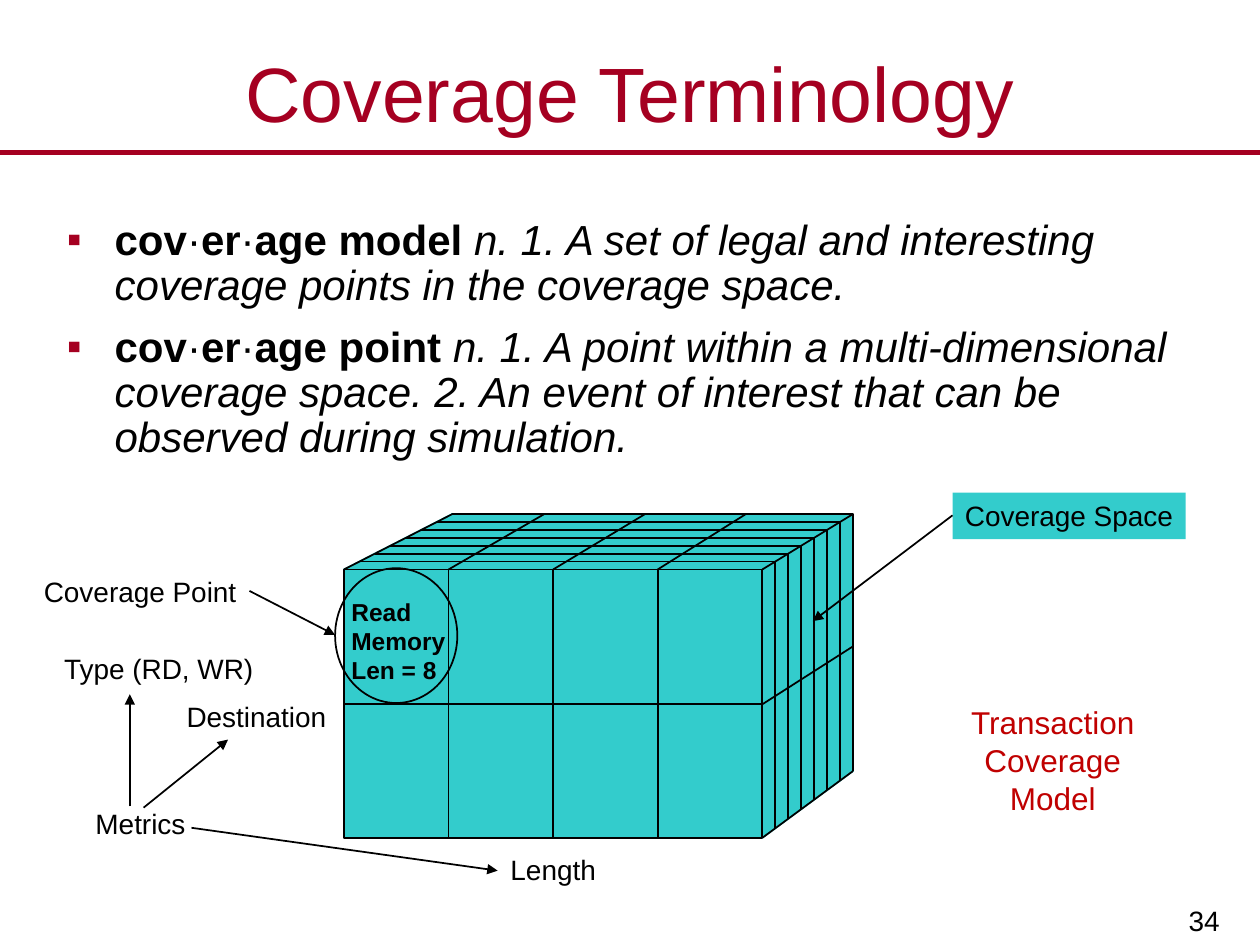
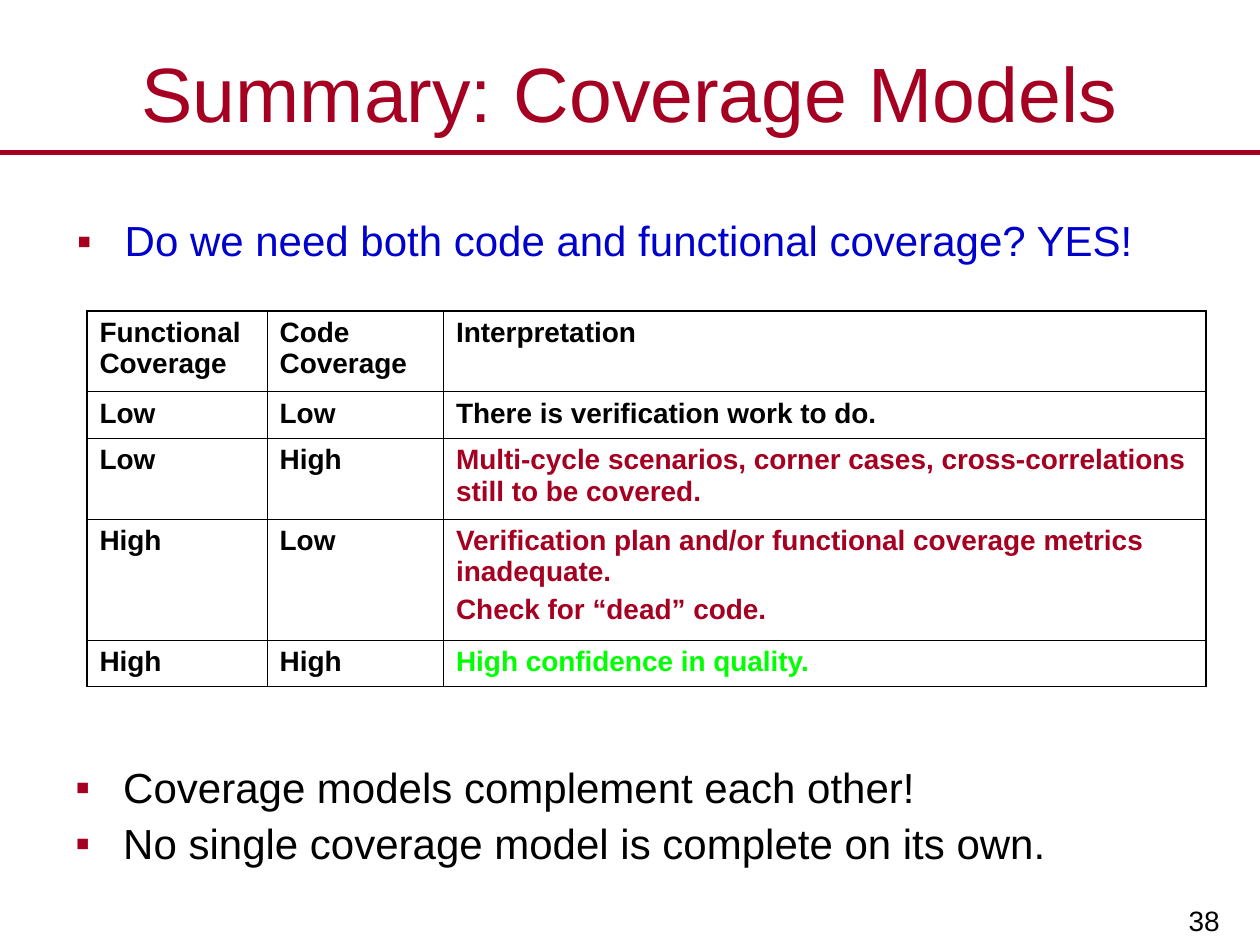
from lxml import etree
from pptx import Presentation
from pptx.dml.color import RGBColor
from pptx.enum.shapes import MSO_CONNECTOR, MSO_SHAPE
from pptx.enum.text import MSO_ANCHOR, MSO_AUTO_SIZE, PP_ALIGN
from pptx.oxml.ns import qn
from pptx.util import Inches, Pt

CRIMSON = RGBColor(0xA5, 0x00, 0x21)
BLACK = RGBColor(0x00, 0x00, 0x00)
BLUE = RGBColor(0x00, 0x00, 0xCC)
TEAL = RGBColor(0x33, 0xCC, 0xCC)
RED = RGBColor(0xC0, 0x00, 0x00)
GREEN = RGBColor(0x00, 0xFF, 0x00)
FONT = "Arial"

STRAIGHT = MSO_CONNECTOR.STRAIGHT
RECT, OVAL = MSO_SHAPE.RECTANGLE, MSO_SHAPE.OVAL
TRIANGLE = MSO_SHAPE.RIGHT_TRIANGLE
LEFT, CENTER, RIGHT = PP_ALIGN.LEFT, PP_ALIGN.CENTER, PP_ALIGN.RIGHT
TOP, MIDDLE, BOTTOM = MSO_ANCHOR.TOP, MSO_ANCHOR.MIDDLE, MSO_ANCHOR.BOTTOM
NO_AUTOFIT = MSO_AUTO_SIZE.NONE


# Shared helpers
def style_run(run, size, color=BLACK, bold=False, italic=False):
    font = run.font
    font.name, font.size = FONT, Pt(size)
    font.bold, font.italic = bold, italic
    font.color.rgb = color


def place(part, box):
    part.left, part.top, part.width, part.height = map(Inches, box)


def draw_line(slide, start, end, color=BLACK, width=1, arrow=False):
    line = slide.shapes.add_connector(STRAIGHT, *map(Inches, (*start, *end)))
    line.line.color.rgb = color
    line.line.width = Pt(width)
    if arrow:
        etree.SubElement(line.line._get_or_add_ln(), qn("a:tailEnd"), type="triangle")
    etree.SubElement(line._element.spPr, qn("a:effectLst"))


def draw_shape(slide, kind, box, fill=None, outline=None):
    shape = slide.shapes.add_shape(kind, *map(Inches, box))
    shape.shadow.inherit = False
    if fill is None:
        shape.fill.background()
    else:
        shape.fill.solid()
        shape.fill.fore_color.rgb = fill
    if outline is None:
        shape.line.fill.background()
    else:
        shape.line.color.rgb = outline
        shape.line.width = Pt(1)
    return shape


def write(frame, text, size, color=BLACK, bold=False, align=LEFT, anchor=TOP, wrap=False):
    frame.text = text
    frame.word_wrap = wrap
    frame.vertical_anchor = anchor
    for paragraph in frame.paragraphs:
        paragraph.alignment = align
        for run in paragraph.runs:
            style_run(run, size, color, bold)


def label(slide, box, text, size=16, **options):
    frame = slide.shapes.add_textbox(*map(Inches, box)).text_frame
    write(frame, text, size, **options)
    return frame


def bullet_list(frame, items, gap, color=BLACK):
    """Each item is a list of (text, bold, italic) pieces."""
    frame.word_wrap = True
    frame.auto_size = NO_AUTOFIT
    for index, pieces in enumerate(items):
        paragraph = frame.add_paragraph() if index else frame.paragraphs[0]
        props = paragraph._p.get_or_add_pPr()
        props.set("marL", str(Inches(0.38)))
        props.set("indent", str(-Inches(0.38)))
        bullet_color = etree.SubElement(props, qn("a:buClr"))
        etree.SubElement(bullet_color, qn("a:srgbClr"), val=str(CRIMSON))
        etree.SubElement(props, qn("a:buFont"), typeface=FONT)
        etree.SubElement(props, qn("a:buChar"), char="▪")
        paragraph.line_spacing = 0.9
        paragraph.space_before = Pt(gap if index else 0)
        for text, bold, italic in pieces:
            run = paragraph.add_run()
            run.text = text
            style_run(run, 24, color, bold, italic)


def new_slide(prs, title, number):
    """Slide with the title, the rule below it and the page number."""
    slide = prs.slides.add_slide(prs.slide_layouts[1])
    heading = slide.shapes.title
    place(heading, (0, 0.3, 10, 0.86))
    write(heading.text_frame, title, 44, CRIMSON, align=CENTER, anchor=MIDDLE, wrap=True)
    draw_line(slide, (0, 1.21), (10, 1.21), CRIMSON, 3)
    page = label(slide, (7.8, 6.93, 1.99, 0.57), number, align=RIGHT, anchor=BOTTOM, wrap=True)
    page.margin_left = page.margin_right = Inches(0.11)
    page.margin_top = page.margin_bottom = Inches(0.06)
    return slide


# Coverage space cube
def coverage_cube(slide, left, top):
    """Cube of 4 lengths, 2 types and 7 destinations; (left, top) is the front corner."""
    width, height, middle = 3.32, 2.13, 1.07
    columns, layers = 4, 7
    shift_left, shift_right, rise, drop = 0.86, 0.72, 0.44, 0.53
    right, bottom = left + width, top + height
    back_left, back_right = left + shift_left, right + shift_right
    back_top, back_bottom = top - rise, bottom - drop

    # Back face, triangles that complete the top and side, front face
    draw_shape(slide, RECT, (back_left, back_top, back_right - back_left,
                             back_bottom - back_top), TEAL, BLACK)
    corners = (("flipH", (left, back_top, shift_left, rise)),
               ("flipV", (right, back_bottom, shift_right, drop)))
    for flip, box in corners:
        corner = draw_shape(slide, TRIANGLE, box, TEAL, TEAL)
        corner._element.spPr.xfrm.set(flip, "1")
    draw_shape(slide, RECT, (left, top, width, height), TEAL, BLACK)

    # Outer edges
    draw_line(slide, (left, top), (back_left, back_top))
    draw_line(slide, (back_left, back_top), (back_right, back_top))
    draw_line(slide, (right, top), (back_right, back_top))
    draw_line(slide, (back_right, back_top), (back_right, back_bottom))
    draw_line(slide, (right, bottom), (back_right, back_bottom))

    # Type division
    draw_line(slide, (left, top + middle), (right, top + middle))
    draw_line(slide, (right, top + middle), (back_right, top + 0.61))

    # Length divisions
    for column in range(1, columns):
        x = left + width * column / columns
        draw_line(slide, (x, top), (x, bottom))
        draw_line(slide, (x, top), (left + 0.79 + 0.8 * column, back_top))

    # Destination divisions
    for layer in range(1, layers):
        depth = layer / layers
        x, y = right + shift_right * depth, top - rise * depth
        draw_line(slide, (left + shift_left * depth, y), (x, y))
        draw_line(slide, (x, y), (x, bottom - drop * depth))

    # Highlighted point
    label(slide, (left - 0.04, top + 0.22, 1.1, 0.69), "Read\nMemory\nLen = 8",
          14, bold=True, anchor=MIDDLE, wrap=True)
    draw_shape(slide, OVAL, (left - 0.07, top - 0.01, 0.97, 1.07), outline=BLACK)


def metric_axes(slide, left, top):
    """Three arrows from Metrics to the names of the dimensions."""
    label(slide, (left + 0.26, top + 1.23, 1.1, 0.37), "Metrics", wrap=True)
    axes = (("Type (RD, WR)", (0, 0, 1.72), (0.63, 1.28), (0.63, 0.39)),
            ("Destination", (0.98, 0.38, 1.31), (0.74, 1.29), (1.41, 0.75)),
            ("Length", (3.55, 1.6, 0.88), (1.12, 1.45), (3.55, 1.79)))
    for name, (x, y, width), start, end in axes:
        label(slide, (left + x, top + y, width, 0.37), name, align=CENTER)
        draw_line(slide, (left + start[0], top + start[1]),
                  (left + end[0], top + end[1]), arrow=True)


def terminology_slide(prs):
    slide = new_slide(prs, "Coverage Terminology", "34")
    body = slide.placeholders[1]
    place(body, (0.43, 1.69, 9.11, 2.58))
    definitions = (
        ("age model ", "n. 1. A set of legal and interesting coverage points "
                       "in the coverage space."),
        ("age point ", "n. 1. A point within a multi-dimensional coverage space. "
                       "2. An event of interest that can be observed during simulation."))
    items = [[("cov", True, False), ("·", False, False), ("er", True, False),
              ("·", False, False), (term, True, False), (meaning, False, True)]
             for term, meaning in definitions]
    bullet_list(body.text_frame, items, 9)

    coverage_cube(slide, 2.73, 4.52)
    metric_axes(slide, 0.4, 5.12)

    # Callouts
    space = draw_shape(slide, RECT, (7.56, 3.91, 1.85, 0.37), TEAL)
    write(space.text_frame, "Coverage Space", 16)
    draw_line(slide, (7.56, 4.09), (6.45, 4.93), arrow=True)
    label(slide, (0.25, 4.51, 1.73, 0.37), "Coverage Point")
    draw_line(slide, (1.98, 4.69), (2.66, 5.04), arrow=True)
    label(slide, (7.38, 5.53, 1.95, 1), "Transaction Coverage Model", 18,
          color=RED, align=CENTER, wrap=True)


# Interpretation table
def set_borders(cell, outer_sides):
    props = cell._tc.get_or_add_tcPr()
    for index, side in enumerate("LRTB"):
        width = Pt(1.08 if side in outer_sides else 0.45)
        border = etree.Element(qn(f"a:ln{side}"), w=str(width))
        fill = etree.SubElement(border, qn("a:solidFill"))
        etree.SubElement(fill, qn("a:srgbClr"), val=str(BLACK))
        props.insert(index, border)


def interpretation_table(slide, box):
    rows = (
        ("Functional Coverage", "Code Coverage", "Interpretation", BLACK, 0.64),
        ("Low", "Low", "There is verification work to do.", BLACK, 0.37),
        ("Low", "High", "Multi-cycle scenarios, corner cases, cross-correlations "
                        "still to be covered.", CRIMSON, 0.64),
        ("High", "Low", "Verification plan and/or functional coverage metrics "
                        "inadequate.\nCheck for “dead” code.", CRIMSON, 0.96),
        ("High", "High", "High confidence in quality.", GREEN, 0.37))
    widths = (1.43, 1.4, 6.05)
    table = slide.shapes.add_table(len(rows), len(widths), *map(Inches, box)).table
    table.first_row = table.horz_banding = False
    for column, width in zip(table.columns, widths):
        column.width = Inches(width)
    for r, (*texts, color, height) in enumerate(rows):
        table.rows[r].height = Inches(height)
        for c, text in enumerate(texts):
            cell = table.cell(r, c)
            cell.fill.background()
            write(cell.text_frame, text, 16, color if c == 2 else BLACK, bold=True, wrap=True)
            for paragraph in cell.text_frame.paragraphs[1:]:
                paragraph.space_before = Pt(4)
            edges = {"T": r == 0, "B": r == len(rows) - 1,
                     "L": c == 0, "R": c == len(widths) - 1}
            set_borders(cell, [side for side, outer in edges.items() if outer])


def summary_slide(prs):
    slide = new_slide(prs, "Summary: Coverage Models", "38")
    question = slide.placeholders[1]
    place(question, (0.51, 1.7, 9.11, 0.55))
    bullet_list(question.text_frame,
                [[("Do we need both code and functional coverage? YES!", False, False)]],
                6, BLUE)
    interpretation_table(slide, (0.69, 2.47, 8.88, 2.98))
    conclusions = slide.shapes.add_textbox(*map(Inches, (0.5, 6.04, 8.94, 0.91)))
    bullet_list(conclusions.text_frame,
                [[("Coverage models complement each other!", False, False)],
                 [("No single coverage model is complete on its own.", False, False)]], 6)


def main():
    prs = Presentation()
    prs.slide_width, prs.slide_height = Inches(10), Inches(7.5)
    terminology_slide(prs)
    summary_slide(prs)
    prs.save("out.pptx")


if __name__ == "__main__":
    main()
